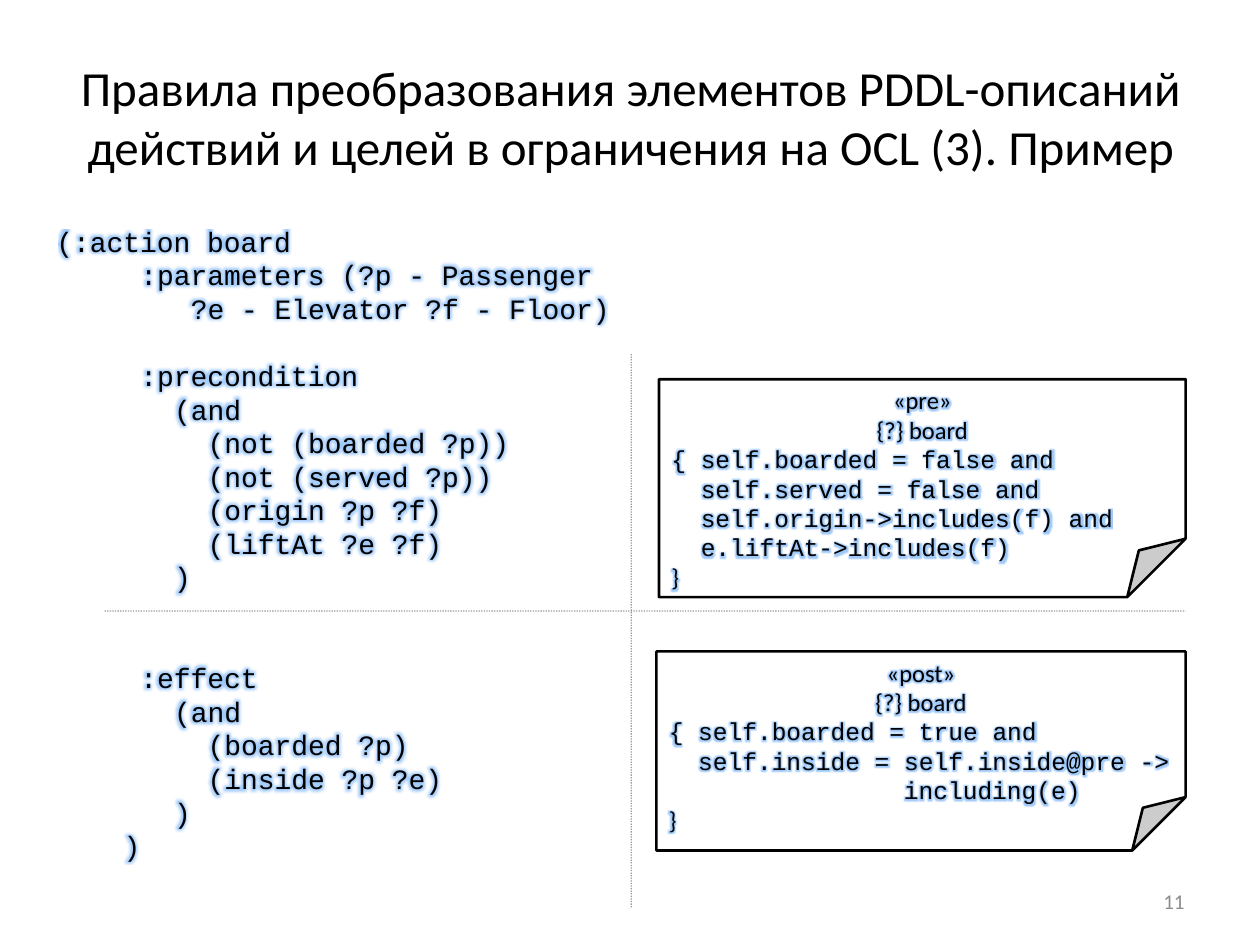
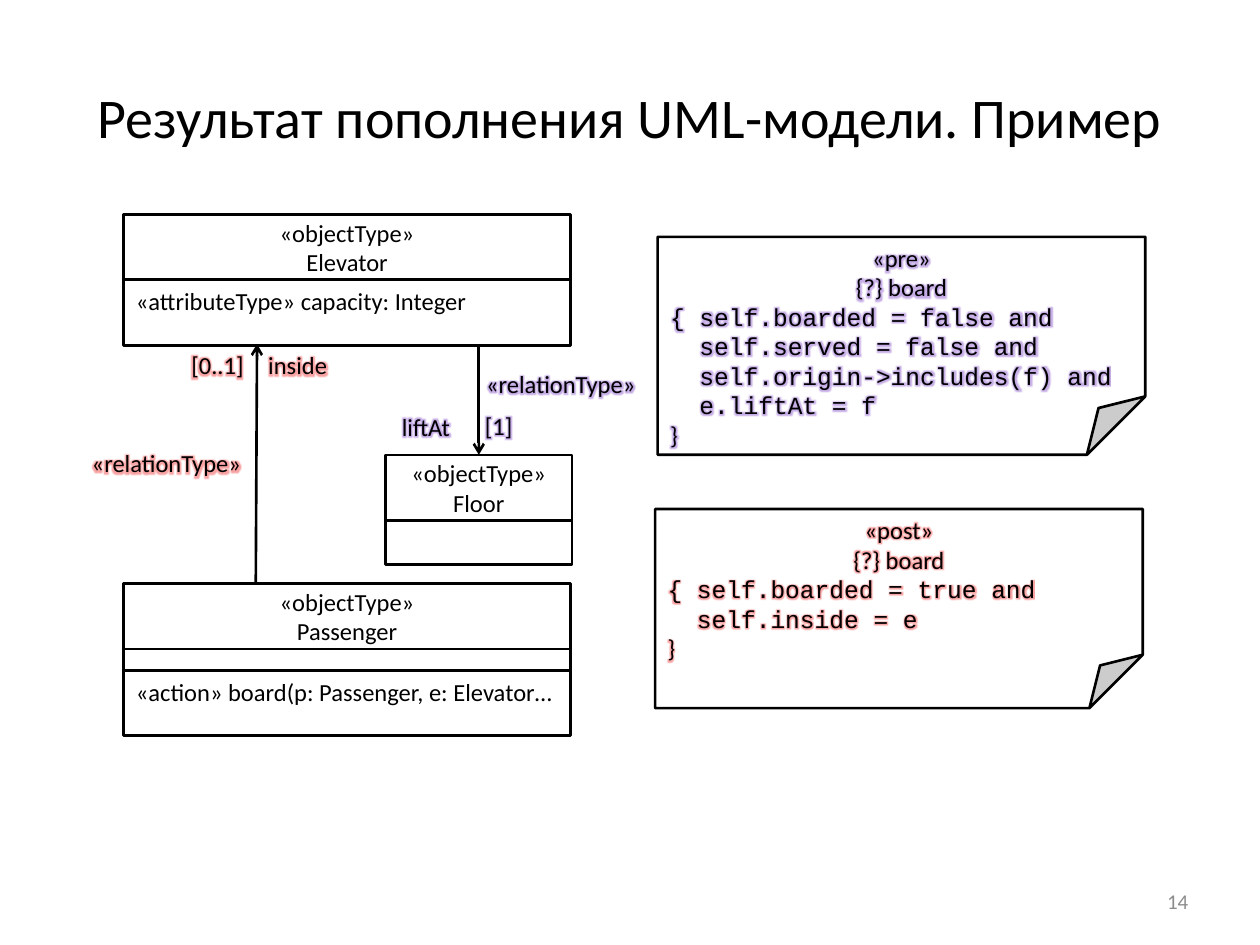
from dataclasses import dataclass

from lxml.etree import SubElement
from pptx import Presentation
from pptx.dml.color import RGBColor
from pptx.enum.dml import MSO_LINE_DASH_STYLE as DASH
from pptx.enum.shapes import MSO_CONNECTOR as CONNECTOR, MSO_SHAPE as SHAPE
from pptx.enum.text import MSO_ANCHOR as ANCHOR, PP_ALIGN as ALIGN
from pptx.oxml.ns import qn
from pptx.util import Inches, Pt

BLACK = RGBColor(0x00, 0x00, 0x00)
WHITE = RGBColor(0xFF, 0xFF, 0xFF)
GRAY = RGBColor(0x8C, 0x8C, 0x8C)
BLUE_GLOW = RGBColor(0x10, 0x78, 0xF0)
RED_GLOW = RGBColor(0xF0, 0x18, 0x18)
PURPLE_GLOW = RGBColor(0x70, 0x30, 0xC0)
SANS, MONO = "Calibri", "Courier New"
CHAR_WIDTH = 0.6  # advance of the code font, in ems
LINE_PITCH = 1.2  # code line height, in ems


@dataclass
class Line:
    """One paragraph: code has a column, blank_above counts empty lines."""
    text: str
    column: int = 0
    blank_above: int = 0
    font: str = MONO
    align: ALIGN = ALIGN.LEFT


def add_box(page, kind, place, lines=(), size=14, anchor=ANCHOR.TOP,
            color=BLACK, glow=None, wrap=True, pitch=None):
    """Add a text box (kind None) or an outlined white shape with its lines."""
    place = [Inches(value) for value in place]
    if kind is None:
        box = page.shapes.add_textbox(*place)
    else:
        box = page.shapes.add_shape(kind, *place)
        box.shadow.inherit = False
        box.fill.solid()
        box.fill.fore_color.rgb = WHITE
        box.line.color.rgb = BLACK
        box.line.width = Pt(1.5)
    frame = box.text_frame
    frame.word_wrap = wrap
    frame.vertical_anchor = anchor
    for index, line in enumerate(lines):
        para = frame.paragraphs[0] if index == 0 else frame.add_paragraph()
        para.alignment = line.align
        para.font.size = Pt(size)
        para.font.name = line.font
        para.font.color.rgb = color
        if pitch:
            para.line_spacing = Pt(size * pitch)
            para.space_before = Pt(size * pitch * line.blank_above)
        if line.column:
            indent = Pt(line.column * size * CHAR_WIDTH)
            para._p.get_or_add_pPr().set("marL", str(indent))
        span = para.add_run()
        span.text = line.text
        if glow is not None:
            effects = SubElement(span._r.get_or_add_rPr(), qn("a:effectLst"))
            halo = SubElement(effects, qn("a:glow"), rad=str(Pt(5)))
            tint = SubElement(halo, qn("a:srgbClr"), val=str(glow))
            SubElement(tint, qn("a:alpha"), val="40000")
    return box


def add_line(page, start, end, dotted=False):
    """Add a faint dotted divider or a solid line with an open arrowhead."""
    ends = [Inches(value) for value in (*start, *end)]
    line = page.shapes.add_connector(CONNECTOR.STRAIGHT, *ends)
    line.line.color.rgb = BLACK
    line.line.width = Pt(0.75 if dotted else 1.5)
    outline = line.line._get_or_add_ln()
    if dotted:
        line.line.dash_style = DASH.ROUND_DOT
        SubElement(outline.find(".//" + qn("a:srgbClr")), qn("a:alpha"), val="40000")
    else:
        SubElement(outline, qn("a:tailEnd"), type="arrow")
    SubElement(line._element.spPr, qn("a:effectLst"))


deck = Presentation()
deck.slide_width, deck.slide_height = Inches(10), Inches(7.5)

# Title and number of each slide
headings = [
    ("Правила преобразования элементов PDDL-описаний действий и целей "
     "в ограничения на OCL (3). Пример", (0.28, 0.3, 9.45, 1.25), 28, "11", 7.17),
    ("Результат пополнения UML-модели. Пример",
     (0.05, 0.3, 9.9, 1.25), 32, "14", 7.2),
]
pages = []
for title, place, size, number, number_left in headings:
    page = deck.slides.add_slide(deck.slide_layouts[6])
    add_box(page, None, place, [Line(title, font=SANS, align=ALIGN.CENTER)],
            size, ANCHOR.MIDDLE)
    add_box(page, None, (number_left, 6.95, 2.33, 0.4),
            [Line(number, font=SANS, align=ALIGN.RIGHT)], 12, ANCHOR.MIDDLE, GRAY)
    pages.append(page)
rules_page, model_page = pages

# PDDL action and the dividers between its parts
action = [
    Line("(:action board"),
    Line(":parameters (?p - Passenger", 5),
    Line("?e - Elevator ?f - Floor)", 8),
    Line(":precondition", 5, 1),
    Line("(and", 7),
    Line("(not (boarded ?p))", 9),
    Line("(not (served ?p))", 9),
    Line("(origin ?p ?f)", 9),
    Line("(liftAt ?e ?f)", 9),
    Line(")", 7),
    Line(":effect", 5, 2),
    Line("(and", 7),
    Line("(boarded ?p)", 9),
    Line("(inside ?p ?e)", 9),
    Line(")", 7),
    Line(")", 4),
]
add_box(rules_page, None, (0.35, 1.73, 4.66, 5.22), action, 16,
        glow=BLUE_GLOW, pitch=LINE_PITCH)
add_line(rules_page, (5.01, 2.81), (5.01, 7.21), dotted=True)
add_line(rules_page, (0.83, 4.85), (9.41, 4.85), dotted=True)

# Class boxes: header, then compartments of (height, text)
classes = [
    ("Elevator", 0.98, 1.7, 3.55,
     [(0.52, "«attributeType» capacity: Integer")]),
    ("Floor", 3.06, 3.61, 1.48, [(0.35, "")]),
    ("Passenger", 0.98, 4.63, 3.55,
     [(0.17, ""), (0.52, "«action» board(p: Passenger, e: Elevator…")]),
]
for name, left, top, width, compartments in classes:
    header = [Line(text, font=SANS, align=ALIGN.CENTER)
              for text in ("«objectType»", name)]
    add_box(model_page, SHAPE.RECTANGLE, (left, top, width, 0.52), header,
            anchor=ANCHOR.MIDDLE)
    top += 0.52
    for height, text in compartments:
        lines = [Line(text, font=SANS)] if text else []
        add_box(model_page, SHAPE.RECTANGLE, (left, top, width, height), lines)
        top += height

# Relations and their labels
add_line(model_page, (3.8, 2.73), (3.8, 3.61))
add_line(model_page, (2.03, 4.63), (2.04, 2.73))
labels = [
    ("«relationType»", 0.63, 3.51, 1.4, RED_GLOW),
    ("inside", 2.03, 2.73, 0.68, RED_GLOW),
    ("[0..1]", 1.42, 2.73, 0.62, RED_GLOW),
    ("«relationType»", 3.76, 2.88, 1.4, PURPLE_GLOW),
    ("liftAt", 3.09, 3.22, 0.59, PURPLE_GLOW),
    ("[1]", 3.75, 3.21, 0.42, PURPLE_GLOW),
]
for text, left, top, width, glow in labels:
    add_box(model_page, None, (left, top, width, 0.34), [Line(text, font=SANS)],
            glow=glow, wrap=False)

# Constraint notes: the code lines are (column, text)
before = [(0, "{ self.boarded = false and"), (2, "self.served = false and"),
          (2, "self.origin->includes(f) and")]
after = [(0, "{ self.boarded = true and")]
notes = [
    (rules_page, "«pre»", (5.23, 3.01, 4.18, 1.73), BLUE_GLOW,
     before + [(2, "e.liftAt->includes(f)")]),
    (rules_page, "«post»", (5.21, 5.17, 4.2, 1.58), BLUE_GLOW,
     after + [(2, "self.inside = self.inside@pre ->"), (16, "including(e)")]),
    (model_page, "«pre»", (5.22, 1.88, 3.87, 1.73), PURPLE_GLOW,
     before + [(2, "e.liftAt = f")]),
    (model_page, "«post»", (5.2, 4.04, 3.87, 1.58), RED_GLOW,
     after + [(2, "self.inside = e")]),
]
for page, stereotype, place, glow, code in notes:
    lines = [Line(text, font=SANS, align=ALIGN.CENTER)
             for text in (stereotype, "{?} board")]
    lines += [Line(text, column) for column, text in code]
    lines.append(Line("}", font=SANS))
    note = add_box(page, SHAPE.FOLDED_CORNER, place, lines, glow=glow,
                   pitch=LINE_PITCH)
    # The library lists no adjustment for this shape, so the fold is set in XML
    guides = note._element.spPr.find(".//" + qn("a:avLst"))
    SubElement(guides, qn("a:gd"), name="adj", fmla="val 26800")

deck.save("out.pptx")
